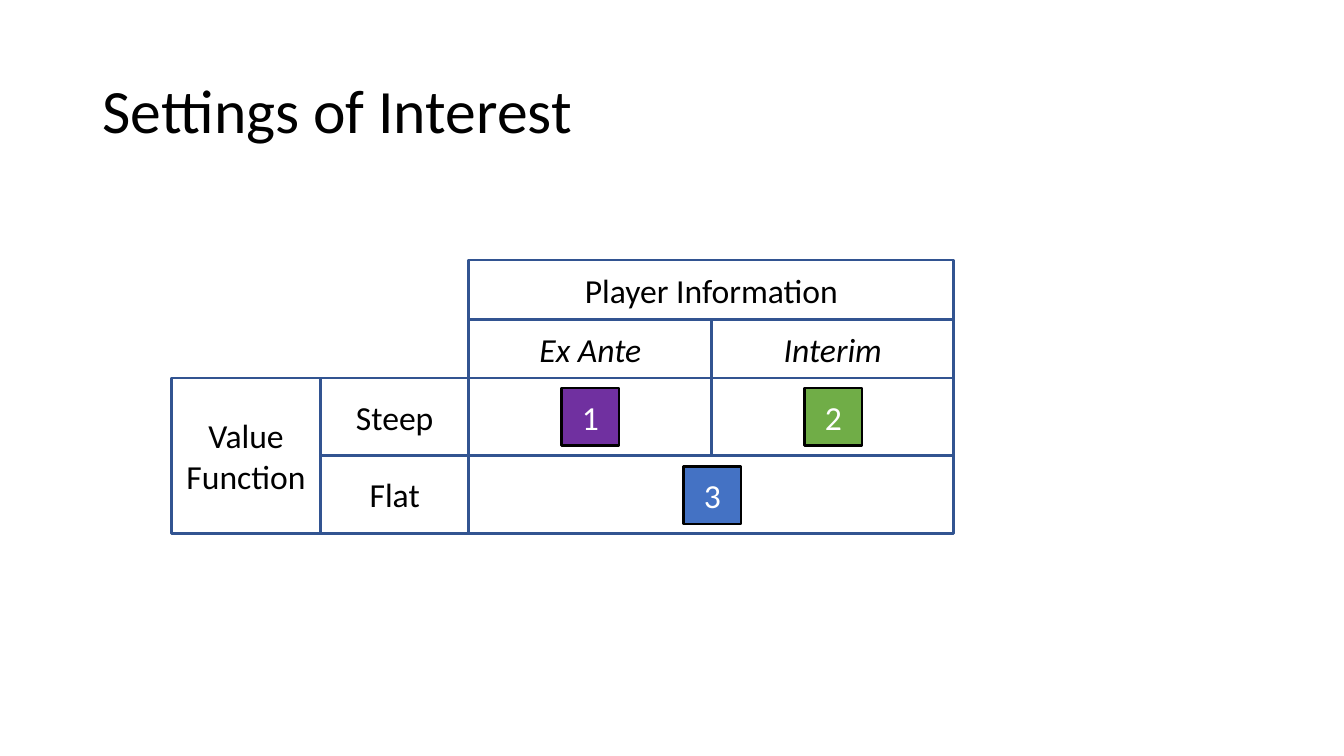
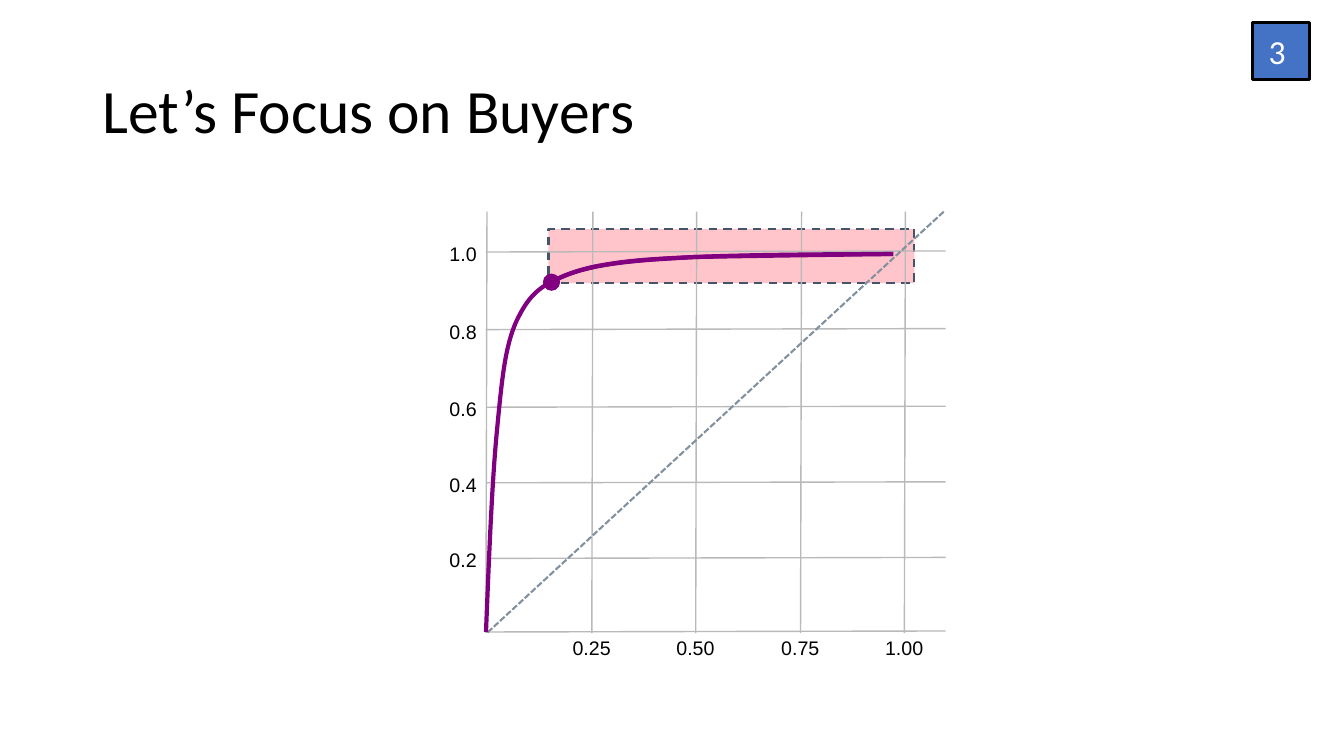
from dataclasses import dataclass

from lxml import etree
from pptx import Presentation
from pptx import util as u
from pptx.dml.color import RGBColor
from pptx.enum import dml, shapes, text
from pptx.oxml import ns


@dataclass(frozen=True)
class Theme:
    font: str = "Calibri"
    label_font: str = "Arial"
    title_size: int = 44
    body_size: int = 24
    label_size: int = 14
    black: str = "000000"
    white: str = "FFFFFF"
    border: str = "325491"
    purple: str = "7030A0"
    green: str = "70AD47"
    blue: str = "4472C4"
    curve: str = "800080"
    grid: str = "B9B9B9"
    diagonal: str = "82919F"
    zone: str = "FF939C"
    zone_border: str = "44546A"


theme = Theme()
color = RGBColor.from_string
Inches = u.Inches


def write(frame, words, size, font=theme.font, ink=theme.black,
          align=text.PP_ALIGN.LEFT, italic=False):
    para = frame.paragraphs[0]
    para.alignment = align
    span = para.add_run()
    span.text = words
    span.font.name = font
    span.font.size = u.Pt(size)
    span.font.italic = italic
    span.font.color.rgb = color(ink)
    return para


def add_block(page, place, fill, line, weight=2, words="", ink=theme.black,
              italic=False, kind=shapes.MSO_SHAPE.RECTANGLE):
    box = page.shapes.add_shape(kind, *(Inches(value) for value in place))
    box.shadow.inherit = False
    box.fill.solid()
    box.fill.fore_color.rgb = color(fill)
    box.line.color.rgb = color(line)
    box.line.width = u.Pt(weight)
    if words:
        box.text_frame.vertical_anchor = text.MSO_ANCHOR.MIDDLE
        write(box.text_frame, words, theme.body_size, ink=ink,
              align=text.PP_ALIGN.CENTER, italic=italic)
    return box


deck = Presentation()
deck.slide_width, deck.slide_height = Inches(13.33), Inches(7.5)

# Pages with their titles
pages = []
for title in ("Settings of Interest", "Let’s Focus on Buyers"):
    page = deck.slides.add_slide(deck.slide_layouts[6])
    box = page.shapes.add_textbox(Inches(0.92), Inches(0.4), Inches(11.5), Inches(1.45))
    box.text_frame.word_wrap = True
    box.text_frame.vertical_anchor = text.MSO_ANCHOR.MIDDLE
    write(box.text_frame, title, theme.title_size).line_spacing = 0.9
    pages.append(page)
settings_page, buyers_page = pages

# Settings matrix: first and last column edge, first and last row edge, words
column_edges = (1.7, 3.18, 4.65, 7.06, 9.46)
row_edges = (2.58, 3.17, 3.75, 4.52, 5.29)
for first, last, upper, lower, words in (
        (2, 3, 2, 3, ""),
        (2, 4, 3, 4, ""),
        (3, 4, 2, 3, ""),
        (2, 3, 1, 2, "Ex Ante"),
        (3, 4, 1, 2, "Interim"),
        (1, 2, 3, 4, "Flat"),
        (1, 2, 2, 3, "Steep"),
        (2, 4, 0, 1, "Player Information"),
        (0, 1, 2, 4, "Value Function")):
    left, top = column_edges[first], row_edges[upper]
    place = (left, top, column_edges[last] - left, row_edges[lower] - top)
    add_block(settings_page, place, theme.white, theme.border, words=words,
              italic=words in ("Ex Ante", "Interim"))

# Numbered settings, the last one also in the corner of the buyers page
badges = (
    (settings_page, 5.57, 3.85, "1", theme.purple),
    (settings_page, 7.98, 3.85, "2", theme.green),
    (settings_page, 6.78, 4.63, "3", theme.blue),
    (buyers_page, 12.42, 0.22, "3 ", theme.blue),
)
for page, left, top, number, fill in badges:
    add_block(page, (left, top, 0.57, 0.57), fill, theme.black, words=number,
              ink=theme.white)

# Highlighted zone and the point where it starts
zone = add_block(buyers_page, (5.44, 2.27, 3.63, 0.54), theme.zone, theme.zone_border, 1.5)
zone.line.dash_style = dml.MSO_LINE.DASH
zone_color = zone._element.spPr.find(ns.qn("a:solidFill"))[0]
etree.SubElement(zone_color, ns.qn("a:alpha"), val="53000")
add_block(buyers_page, (5.39, 2.72, 0.16, 0.16), theme.curve, theme.curve, 0.75,
          kind=shapes.MSO_SHAPE.OVAL)

# Grid lines and the diagonal
grid_x = (4.83, 5.88, 6.91, 7.95, 8.98)
grid_y = (6.27, 5.54, 4.79, 4.04, 3.27, 2.5)
lines = [(x, 2.1, x - 0.01, 6.28) for x in grid_x]
lines += [(9.38, y - 0.01, 4.82, y) for y in grid_y]
diagonal = (9.36, 2.1, 4.83, 6.28)
for ends in lines + [diagonal]:
    line = buyers_page.shapes.add_connector(shapes.MSO_CONNECTOR.STRAIGHT,
                                            *(Inches(value) for value in ends))
    line.line.color.rgb = color(theme.grid)
    line.line.width = u.Pt(1)
    if ends == diagonal:
        line.line.color.rgb = color(theme.diagonal)
        line.line.width = u.Pt(1.5)
        line.line.dash_style = dml.MSO_LINE.SQUARE_DOT
    etree.SubElement(line._element.spPr, ns.qn("a:effectLst"))

# Value curve and its flat part: a start, then three points per cubic segment
curves = (
    ((4.82, 6.27),
     (4.85, 5.52), (4.88, 4.77), (4.93, 4.26),
     (4.98, 3.74), (5.01, 3.44), (5.12, 3.19),
     (5.24, 2.94), (5.34, 2.84), (5.61, 2.73),
     (5.88, 2.63), (6.18, 2.59), (6.72, 2.56),
     (7.26, 2.52), (8.84, 2.52), (8.84, 2.52)),
    ((5.48, 2.79),
     (5.61, 2.73), (5.74, 2.67), (5.98, 2.63),
     (6.21, 2.59), (6.42, 2.57), (6.9, 2.55),
     (7.38, 2.54), (8.12, 2.53), (8.86, 2.52)),
)
for points in curves:
    start, *others = [(Inches(x), Inches(y)) for x, y in points]
    builder = buyers_page.shapes.build_freeform(*start)
    builder.add_line_segments(others, close=False)
    curve = builder.convert_to_shape()
    curve.shadow.inherit = False
    curve.fill.background()
    curve.line.color.rgb = color(theme.curve)
    curve.line.width = u.Pt(3)
    # Turn every three straight steps into one cubic segment
    outline = next(curve._element.iter(ns.qn("a:path")))
    steps = outline.findall(ns.qn("a:lnTo"))
    for index in range(0, len(steps), 3):
        cubic = etree.SubElement(outline, ns.qn("a:cubicBezTo"))
        for step in steps[index:index + 3]:
            cubic.append(step[0])
            outline.remove(step)

# Axis labels
labels = [(x - 0.3, 6.26, 0.58, value)
          for x, value in zip(grid_x[1:], ("0.25", "0.50", "0.75", "1.00"))]
labels += [(4.36, y - 0.15, 0.47, value)
           for y, value in zip(grid_y[1:], ("0.2", "0.4", "0.6", "0.8", "1.0"))]
for left, top, width, value in labels:
    box = buyers_page.shapes.add_textbox(Inches(left), Inches(top), Inches(width), Inches(0.34))
    box.text_frame.word_wrap = False
    box.text_frame.auto_size = text.MSO_AUTO_SIZE.SHAPE_TO_FIT_TEXT
    write(box.text_frame, value, theme.label_size, font=theme.label_font)

deck.save("out.pptx")
